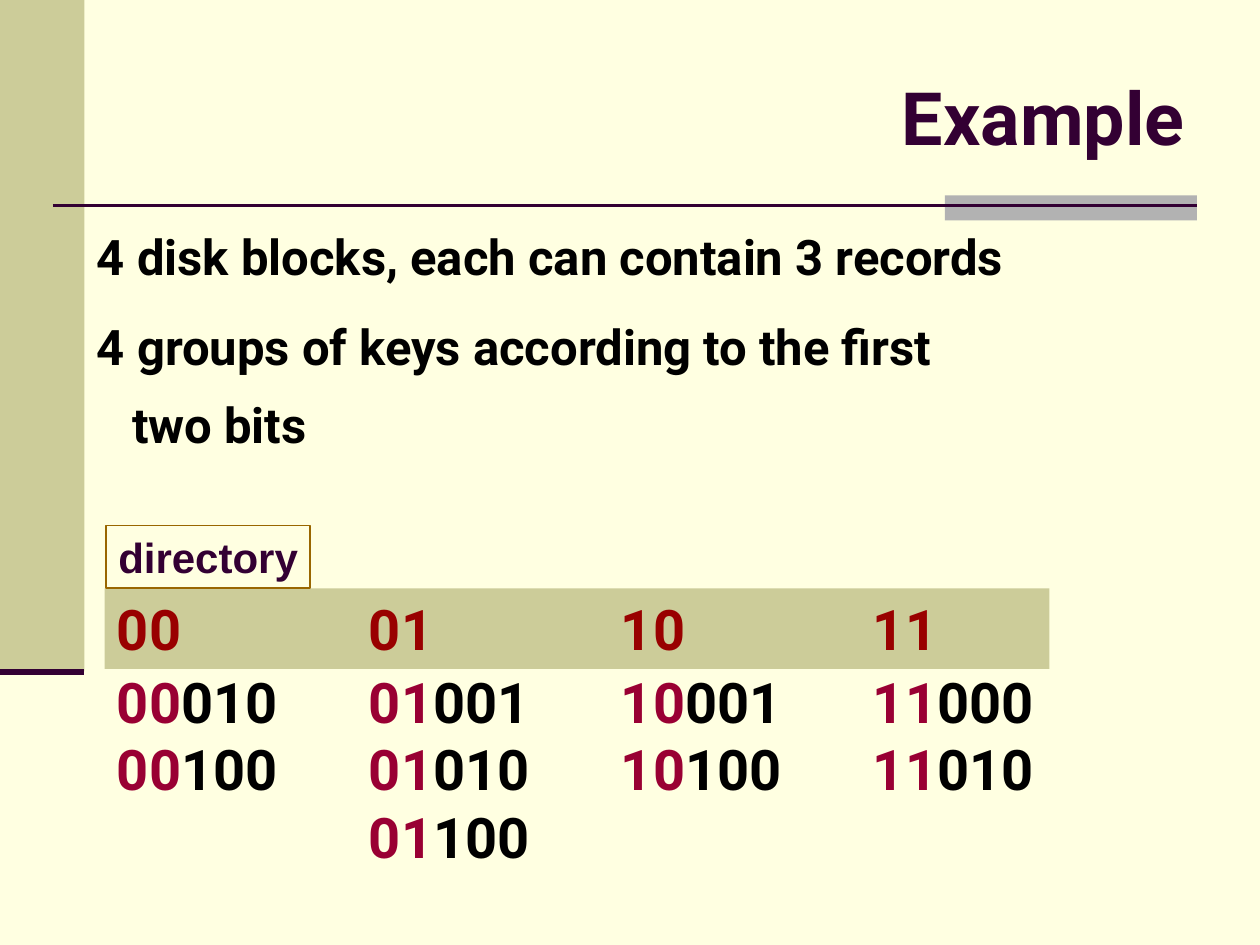
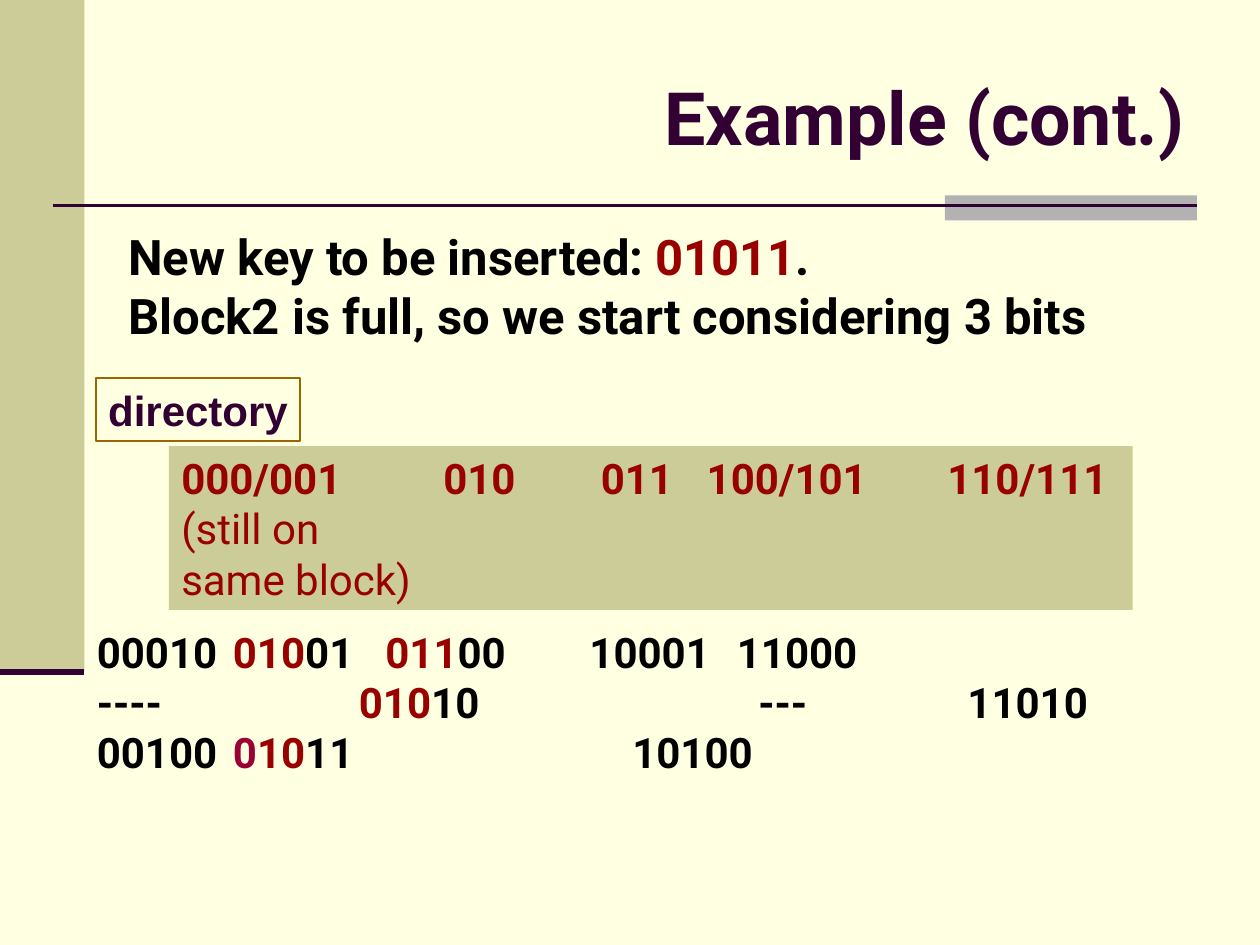
import dataclasses
import itertools

import pptx
import pptx.dml.color
import pptx.enum.shapes
import pptx.enum.text
import pptx.oxml
import pptx.oxml.ns
import pptx.slide
import pptx.util

Inches = pptx.util.Inches
Pt = pptx.util.Pt
RGBColor = pptx.dml.color.RGBColor
Align = pptx.enum.text.PP_ALIGN
Anchor = pptx.enum.text.MSO_ANCHOR
Fit = pptx.enum.text.MSO_AUTO_SIZE

CREAM = RGBColor(0xFF, 0xFF, 0xE1)
KHAKI = RGBColor(0xCC, 0xCC, 0x99)
GRAY = RGBColor(0xB2, 0xB2, 0xB2)
PLUM = RGBColor(0x33, 0x00, 0x33)
BROWN = RGBColor(0x99, 0x66, 0x00)
RED = RGBColor(0x99, 0x00, 0x00)
ROSE = RGBColor(0x99, 0x00, 0x33)
BLACK = RGBColor(0x00, 0x00, 0x00)


def apply(item, values):
    for name, value in values.items():
        setattr(item, name, value)


@dataclasses.dataclass
class Deck:
    file: pptx.presentation.Presentation
    slide: pptx.slide.Slide = None
    face: str = "Roboto"

    def page(self, title):
        self.slide = self.file.slides.add_slide(self.file.slide_layouts[5])
        self.rect((0, 0, 0.67, 5.33), KHAKI)
        self.rect((7.5, 1.55, 2, 0.2), GRAY)
        self.line((0.42, 1.63), (9.5, 1.63), 1.5)
        self.line((0, 5.33), (0.67, 5.33), 3.5)
        head = self.slide.shapes.title
        self.place(head, (1, 0.3, 8.5, 1.25))
        self.frame(head, anchor=Anchor.MIDDLE)
        self.para(head, [(title, PLUM)], 42, form={"alignment": Align.RIGHT})

    def place(self, shape, box):
        names = ("left", "top", "width", "height")
        apply(shape, dict(zip(names, map(Inches, box))))

    def frame(self, shape, anchor=Anchor.TOP, wrap=True):
        apply(shape.text_frame, {
            "word_wrap": wrap,
            "auto_size": Fit.NONE,
            "vertical_anchor": anchor,
            "margin_left": Inches(0.1),
            "margin_right": Inches(0.1),
            "margin_top": Inches(0.05),
            "margin_bottom": Inches(0.05),
        })

    def rect(self, box, fill=None, edge=None, wrap=True):
        kind = pptx.enum.shapes.MSO_SHAPE.RECTANGLE
        shape = self.slide.shapes.add_shape(kind, *map(Inches, box))
        shape.shadow.inherit = False
        if fill is None:
            shape.fill.background()
        else:
            shape.fill.solid()
            shape.fill.fore_color.rgb = fill
        if edge is None:
            shape.line.fill.background()
        else:
            shape.line.color.rgb = edge
            shape.line.width = Pt(1)
        self.frame(shape, wrap=wrap)
        return shape

    def line(self, start, end, width):
        kind = pptx.enum.shapes.MSO_CONNECTOR.STRAIGHT
        rule = self.slide.shapes.add_connector(kind, *map(Inches, start + end))
        rule.line.color.rgb = PLUM
        rule.line.width = Pt(width)
        props = rule._element.spPr
        props.append(pptx.oxml.parse_xml(
            f"<a:effectLst {pptx.oxml.ns.nsdecls('a')}/>"))

    def text(self, box):
        shape = self.slide.shapes.add_textbox(*map(Inches, box))
        self.frame(shape)
        return shape

    def para(self, shape, runs, size, bold=True, face=None, tabs=(), form=None):
        body = shape.text_frame
        para = body.paragraphs[0]
        if para.runs:
            para = body.add_paragraph()
        apply(para, {"alignment": Align.LEFT, **(form or {})})
        if tabs:
            stops = "".join(
                f'<a:tab pos="{Inches(stop)}" algn="l"/>' for stop in tabs)
            para._p.get_or_add_pPr().append(pptx.oxml.parse_xml(
                f"<a:tabLst {pptx.oxml.ns.nsdecls('a')}>{stops}</a:tabLst>"))
        for words, color in runs:
            run = para.add_run()
            run.text = words
            apply(run.font, {
                "name": face or self.face, "size": Pt(size), "bold": bold})
            run.font.color.rgb = color
        return para

    def label(self, left, top):
        box = self.rect((left, top, 1.62, 0.5), edge=BROWN, wrap=False)
        self.para(box, [("directory", PLUM)], 24, face="Arial")


def groups(deck):
    deck.page("Example")
    intro = deck.text((0.67, 1.75, 9.08, 1.9))
    gap = {"space_before": Pt(17.5)}
    deck.para(intro, [("4 disk blocks, each can contain 3 records", BLACK)], 28)
    deck.para(intro, [("4 groups of keys according to the first", BLACK)], 28,
              form=gap)
    last = deck.para(intro, [("two bits", BLACK)], 28,
                     form={**gap, "line_spacing": 0.8})
    last._p.get_or_add_pPr().set("marL", str(Inches(0.28)))

    blocks = {
        "00": ["010", "100"],
        "01": ["001", "010", "100"],
        "10": ["001", "100"],
        "11": ["000", "010"],
    }
    tabs = [2 * col for col in range(1, len(blocks))]
    keys = deck.text((0.83, 5.25, 8.83, 1.7))
    for row in itertools.zip_longest(*blocks.values()):
        runs = []
        for col, (bits, rest) in enumerate(zip(blocks, row)):
            if rest:
                skip = col - sum("\t" in word for word, _ in runs)
                if skip:
                    runs.append(("\t" * skip, BLACK))
                runs += [(bits, ROSE), (rest, BLACK)]
        deck.para(keys, runs, 32, tabs=tabs)
    band = deck.rect((0.83, 4.67, 7.5, 0.64), KHAKI)
    deck.para(band, [("\t".join(blocks), RED)], 32, tabs=tabs)
    deck.label(0.84, 4.17)


def split(deck):
    deck.page("Example (cont.)")
    intro = deck.text((0.92, 1.75, 8.75, 1.04))
    deck.para(intro, [("New key to be inserted: ", BLACK), ("01011", RED),
                      (".", BLACK)], 28)
    deck.para(intro, [("Block2 is full, so we start considering 3 bits", BLACK)],
              28)

    keys = deck.text((0.67, 4.92, 8.92, 1.91))
    rows = [
        ((1.08, 2.29, 3.91, 5.08),
         [("00010\t", BLACK), ("010", RED), ("01\t", BLACK), ("011", RED),
          ("00\t10001\t11000", BLACK)]),
        ((2.08, 5.25, 6.91),
         [("----\t", BLACK), ("010", RED), ("10\t---\t11010", BLACK)]),
        ((1.08, 4.25),
         [("00100\t", BLACK), ("0", ROSE), ("10", RED), ("11\t10100", BLACK)]),
    ]
    for tabs, runs in rows:
        deck.para(keys, runs, 24, tabs=tabs)

    deck.label(0.76, 3)
    band = deck.rect((1.34, 3.54, 7.65, 1.3), KHAKI)
    heads = ["000/001", "010", "011", "100/101", "110/111"]
    deck.para(band, [("\t".join(heads), RED)], 24, tabs=(2.08, 3.33, 4.17, 6.08))
    for words in ("(still on", "same block)"):
        deck.para(band, [(words, RED)], 24, bold=False)


def main():
    file = pptx.Presentation()
    apply(file, {"slide_width": Inches(10), "slide_height": Inches(7.5)})
    back = file.slide_master.background.fill
    back.solid()
    back.fore_color.rgb = CREAM
    deck = Deck(file)
    groups(deck)
    split(deck)
    file.save("out.pptx")


if __name__ == "__main__":
    main()
